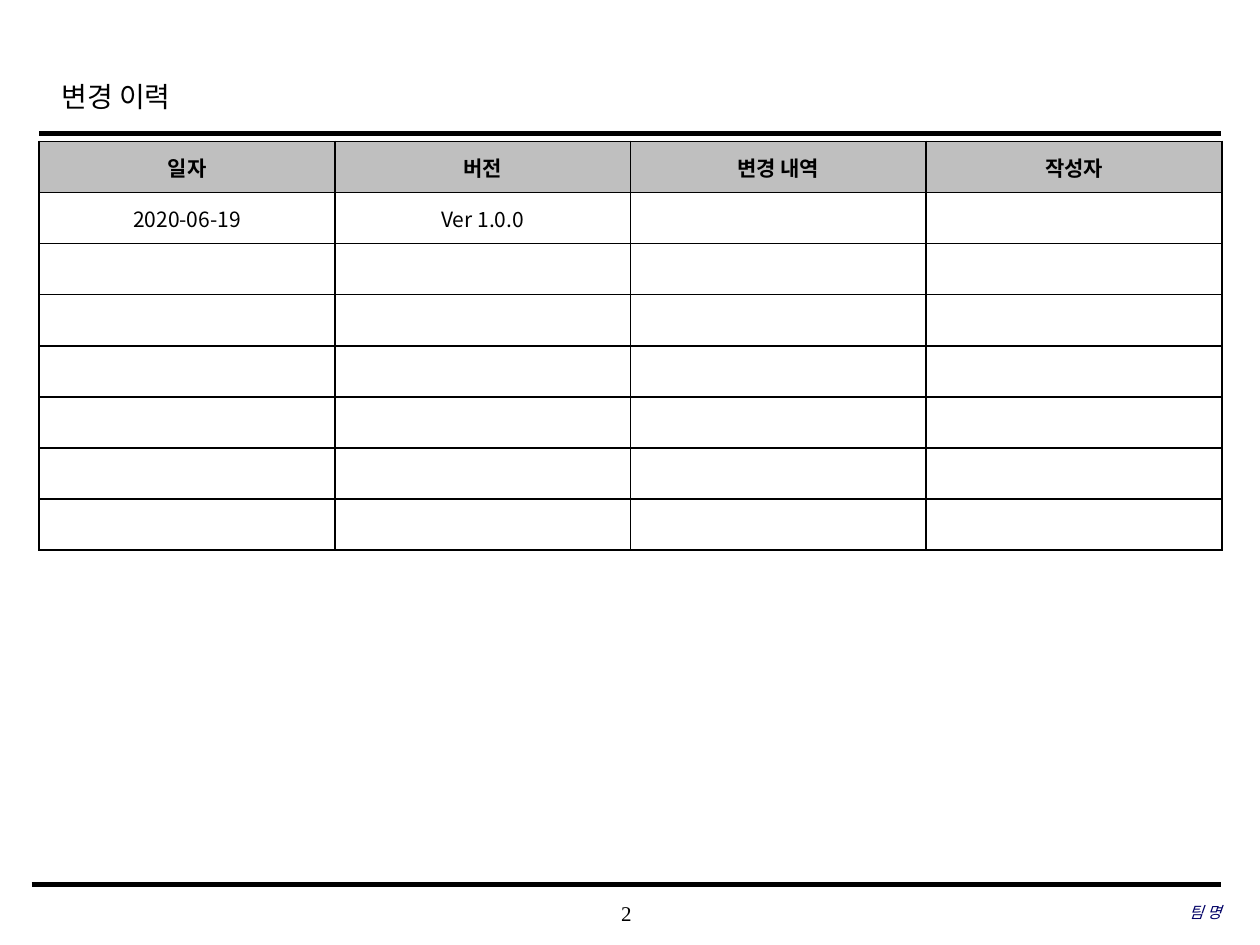
import pptx
import pptx.util
import pptx.dml.color
import pptx.enum.shapes
import pptx.enum.text
import pptx.oxml.ns
import lxml.etree

Cm, Pt = pptx.util.Cm, pptx.util.Pt
RGBColor = pptx.dml.color.RGBColor
ALIGN, ANCHOR = pptx.enum.text.PP_ALIGN, pptx.enum.text.MSO_ANCHOR
qn, SubElement = pptx.oxml.ns.qn, lxml.etree.SubElement

BLACK = RGBColor(0x00, 0x00, 0x00)
WHITE = RGBColor(0xFF, 0xFF, 0xFF)
GREY = RGBColor(0xBF, 0xBF, 0xBF)
NAVY = RGBColor(0x00, 0x00, 0x66)
SERIF, SANS = "Times New Roman", "Noto Sans CJK KR"

HEADERS = ["일자", "버전", "변경 내역", "작성자"]
ENTRIES = [["2020-06-19", "Ver 1.0.0"]]
ROWS = 8


def add_run(p, text, size, font=SERIF, color=BLACK, bold=False, italic=False):
    r = p.add_run()
    r.text = text
    f = r.font
    f.size, f.name, f.bold, f.italic = Pt(size), font, bold, italic
    f.color.rgb = color
    SubElement(r._r.get_or_add_rPr(), qn("a:ea")).set("typeface", SANS)


def add_text(s, box, text, size, align, inset=0, **style):
    sp = s.shapes.add_textbox(*map(Cm, box))
    tf = sp.text_frame
    tf.word_wrap = True
    tf.vertical_anchor = ANCHOR.MIDDLE
    tf.margin_left = tf.margin_right = Cm(inset)
    tf.margin_top = tf.margin_bottom = Cm(inset / 2)
    p = tf.paragraphs[0]
    p.alignment = align
    add_run(p, text, size, **style)
    return p


def add_rule(s, left, right, y, width):
    line = s.shapes.add_connector(pptx.enum.shapes.MSO_CONNECTOR.STRAIGHT,
                                  Cm(left), Cm(y), Cm(right), Cm(y))
    line.line.color.rgb = BLACK
    line.line.width = Pt(width)
    SubElement(line._element.spPr, qn("a:effectLst"))


def set_cell(cell, text, header):
    # Borders come before the fill in the cell properties
    tcPr = cell._tc.get_or_add_tcPr()
    for side in ("a:lnL", "a:lnR", "a:lnT", "a:lnB"):
        ln = SubElement(tcPr, qn(side), w=str(Pt(1)))
        fill = SubElement(ln, qn("a:solidFill"))
        SubElement(fill, qn("a:srgbClr"), val=str(BLACK))
    cell.fill.solid()
    cell.fill.fore_color.rgb = GREY if header else WHITE
    cell.vertical_anchor = ANCHOR.MIDDLE
    cell.margin_top = cell.margin_bottom = Cm(0.05)
    p = cell.text_frame.paragraphs[0]
    p.alignment = ALIGN.CENTER
    if text:
        add_run(p, text, 12, font=SANS, bold=header)


def history_table(s, left, top, width, height):
    n = len(HEADERS)
    table = s.shapes.add_table(ROWS, n, Cm(left), Cm(top), Cm(width), Cm(height)).table
    for col in table.columns:
        col.width = Cm(width / n)
    data = [HEADERS] + ENTRIES
    for i, row in enumerate(table.rows):
        row.height = Cm(height / ROWS)
        texts = data[i] if i < len(data) else []
        for j, cell in enumerate(row.cells):
            set_cell(cell, texts[j] if j < len(texts) else "", i == 0)


def header(s, left, top, width):
    p = add_text(s, (left + 0.2, top, 19.18, 1.27), "변경 이력", 16, ALIGN.LEFT, inset=0.25)
    p.line_spacing = 1.2
    add_rule(s, left, left + width, top + 1.45, 2.5)


def footer(s, left, top, width):
    right = left + width
    add_rule(s, left, right, top, 3)
    add_text(s, (left + 9.35, top + 0.15, 5.28, 0.84), "2", 12, ALIGN.CENTER)
    add_text(s, (right - 7.77, top + 0.13, 7.77, 0.84), "팀 명", 9, ALIGN.RIGHT,
             color=NAVY, italic=True)


prs = pptx.Presentation()
prs.slide_width, prs.slide_height = Cm(25.4), Cm(19.05)
s = prs.slides.add_slide(prs.slide_layouts[6])
s.background.fill.solid()
s.background.fill.fore_color.rgb = WHITE

header(s, 0.79, 1.24, 23.83)
history_table(s, 0.79, 2.85, 23.84, 8.24)
footer(s, 0.64, 17.83, 23.98)

prs.save("out.pptx")
